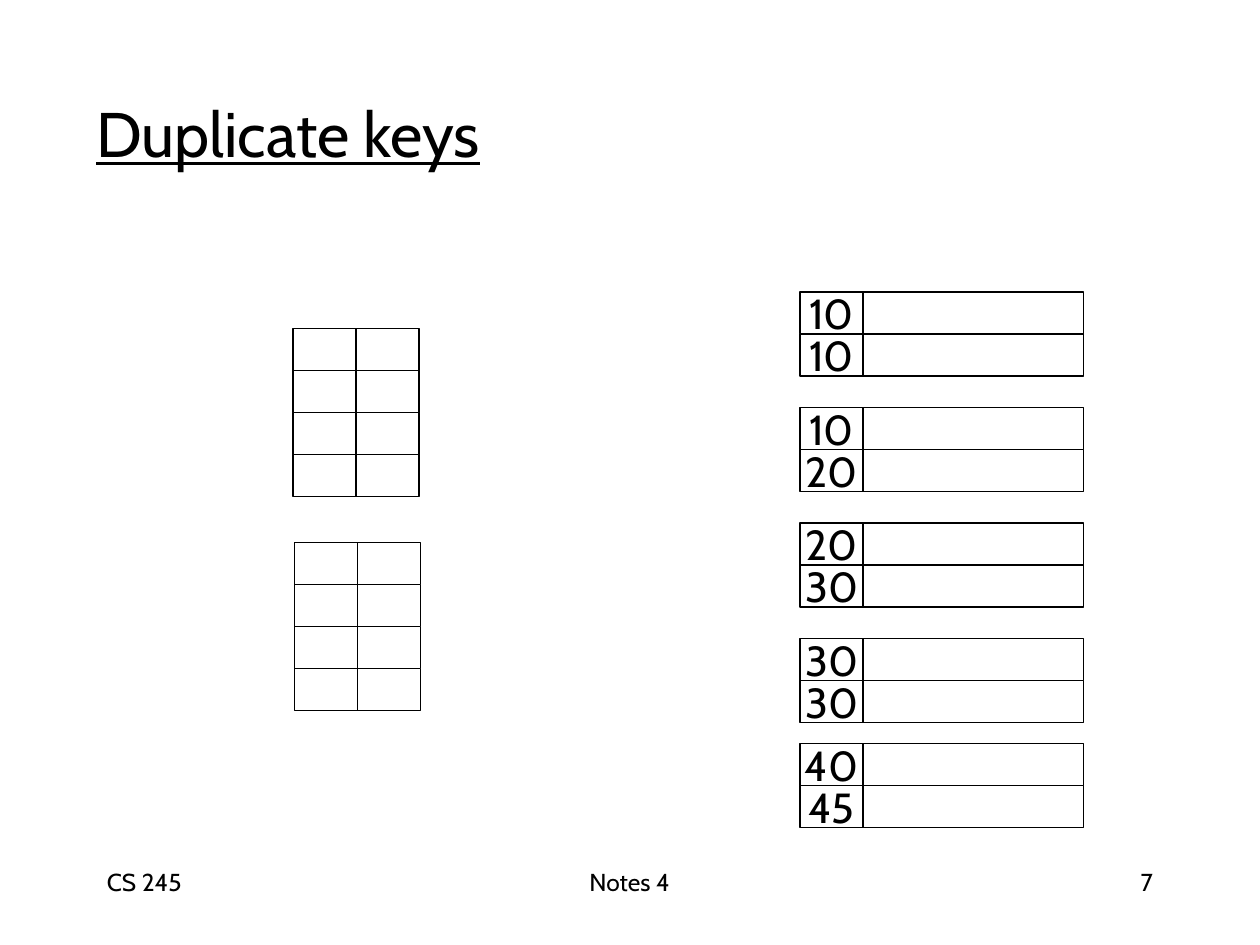
from dataclasses import dataclass

from pptx import Presentation
from pptx.dml.color import RGBColor
from pptx.enum.shapes import MSO_SHAPE as Shape
from pptx.enum.text import MSO_ANCHOR as Anchor, PP_ALIGN as Align
from pptx.util import Inches, Pt


@dataclass(frozen=True)
class Theme:
    font: str = "Cabin"
    ink: RGBColor = RGBColor(0, 0, 0)
    paper: RGBColor = RGBColor(255, 255, 255)
    title_size: int = 36
    key_size: int = 24
    footer_size: int = 14
    outline: float = 0.75


THEME = Theme()

# The slide is a grid of 20 columns by 22.5 rows; a cell is one by one
COLUMN = Inches(10) / 20
ROW = Inches(7.5) / 22.5

RECORD_WIDTHS = (1, 3.5)
INDEX_WIDTHS = (1, 1)


def place(column, row, width, height):
    """Turn grid units into left, top, width and height."""
    return (round(column * COLUMN), round(row * ROW),
            round(width * COLUMN), round(height * ROW))


def write(frame, text, size, align, underline=None):
    paragraph = frame.paragraphs[0]
    paragraph.alignment = align
    run = paragraph.add_run()
    run.text = text
    run.font.name = THEME.font
    run.font.size = Pt(size)
    run.font.color.rgb = THEME.ink
    run.font.underline = underline


def add_label(slide, box, text, size, align=Align.LEFT, anchor=Anchor.TOP,
              underline=None):
    frame = slide.shapes.add_textbox(*place(*box)).text_frame
    frame.word_wrap = True
    frame.vertical_anchor = anchor
    write(frame, text, size, align, underline)


def add_cell(block, box, text):
    cell = block.shapes.add_shape(Shape.RECTANGLE, *place(*box))
    cell.shadow.inherit = False
    cell.fill.solid()
    cell.fill.fore_color.rgb = THEME.paper
    cell.line.color.rgb = THEME.ink
    cell.line.width = Pt(THEME.outline)
    if text:
        frame = cell.text_frame
        frame.word_wrap = False
        frame.vertical_anchor = Anchor.MIDDLE
        write(frame, text, THEME.key_size, Align.CENTER)


def add_block(slide, column, row, widths, keys):
    """Add a group of stacked rows, with each key in its row's first cell."""
    block = slide.shapes.add_group_shape()
    for line, key in enumerate(keys):
        left = column
        for field, width in enumerate(widths):
            add_cell(block, (left, row + line, width, 1),
                     key if field == 0 else "")
            left += width


def main():
    prs = Presentation()
    prs.slide_width, prs.slide_height = Inches(10), Inches(7.5)
    slide = prs.slides.add_slide(prs.slide_layouts[6])

    # Title
    add_label(slide, (1.33, 2, 7.33, 2.3), "Duplicate keys",
              THEME.title_size, anchor=Anchor.MIDDLE, underline=True)

    # Data file: four evenly spaced blocks, the last one set closer
    records = [("10", "10"), ("10", "20"), ("20", "30"), ("30", "30"),
               ("40", "45")]
    record_rows = [6.95 + 2.75 * step for step in range(4)] + [17.7]
    for row, keys in zip(record_rows, records):
        add_block(slide, 12.7, row, RECORD_WIDTHS, keys)

    # Empty index blocks
    for column, row in ((4.65, 7.82), (4.68, 12.91)):
        add_block(slide, column, row, INDEX_WIDTHS, [""] * 4)

    # Footer
    for column, width, text, align in (
            (6.83, 6.33, "Notes 4", Align.CENTER),
            (14.33, 4.17, "7", Align.RIGHT),
            (1.5, 4.17, "CS 245", Align.LEFT)):
        add_label(slide, (column, 20.5, width, 1.5), text,
                  THEME.footer_size, align)

    prs.save("out.pptx")


if __name__ == "__main__":
    main()
